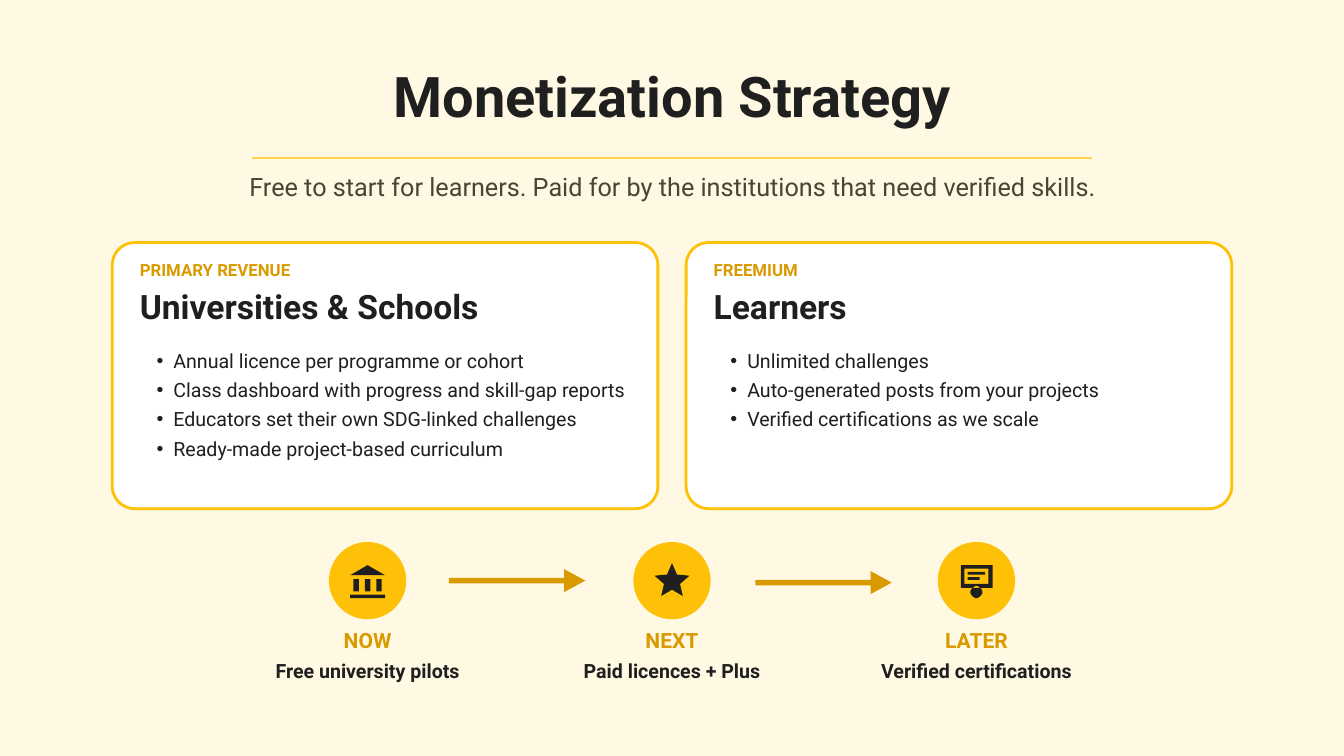
from math import cos, pi, sin

from lxml import etree
from pptx import Presentation
from pptx.dml.color import RGBColor
from pptx.enum.shapes import MSO_SHAPE
from pptx.enum.text import MSO_ANCHOR, MSO_AUTO_SIZE, PP_ALIGN
from pptx.oxml.ns import qn
from pptx.util import Inches, Pt

LEFT, CENTER = PP_ALIGN.LEFT, PP_ALIGN.CENTER
TOP, NO_FIT = MSO_ANCHOR.TOP, MSO_AUTO_SIZE.NONE
RECTANGLE, ROUNDED = MSO_SHAPE.RECTANGLE, MSO_SHAPE.ROUNDED_RECTANGLE
OVAL, STAR, ARROW = MSO_SHAPE.OVAL, MSO_SHAPE.STAR_5_POINT, MSO_SHAPE.RIGHT_ARROW

CREAM = RGBColor(0xFF, 0xF8, 0xE2)
WHITE = RGBColor(0xFF, 0xFF, 0xFF)
YELLOW = RGBColor(0xFF, 0xC1, 0x07)
AMBER = RGBColor(0xD9, 0x9A, 0x00)
INK = RGBColor(0x1F, 0x1F, 0x1F)
BROWN = RGBColor(0x4A, 0x43, 0x37)

# Content
TITLE = "Monetization Strategy"
SUBTITLE = "Free to start for learners. Paid for by the institutions that need verified skills."
CARDS = [
    ("PRIMARY REVENUE", "Universities & Schools", [
        "Annual licence per programme or cohort",
        "Class dashboard with progress and skill-gap reports",
        "Educators set their own SDG-linked challenges",
        "Ready-made project-based curriculum",
    ]),
    ("FREEMIUM", "Learners", [
        "Unlimited challenges",
        "Auto-generated posts from your projects",
        "Verified certifications as we scale",
    ]),
]
STAGES = [
    ("NOW", "Free university pilots", "bank"),
    ("NEXT", "Paid licences + Plus", "star"),
    ("LATER", "Verified certifications", "certificate"),
]

# Text formats: font values, then line spacing in points and alignment
FORMATS = {
    "title": ({"size": Pt(60), "bold": True, "color": INK}, 72, CENTER),
    "subtitle": ({"size": Pt(27), "bold": False, "color": BROWN}, 37.8, CENTER),
    "tag": ({"size": Pt(18), "bold": True, "color": AMBER}, 25.2, LEFT),
    "heading": ({"size": Pt(36), "bold": True, "color": INK}, 50.4, LEFT),
    "bullets": ({"size": Pt(21), "bold": False, "color": INK}, 31.5, LEFT),
    "stage": ({"size": Pt(22.5), "bold": True, "color": AMBER}, 31.5, CENTER),
    "step": ({"size": Pt(21), "bold": True, "color": INK}, 29.4, CENTER),
}

# Geometry in inches
MARGIN, CONTENT_W = 1.67, 16.67
CARD_Y, CARD_W, CARD_H, CARD_STEP = 3.61, 8.12, 3.96, 8.54
PADDING, INNER_W = 0.41, 7.29
STAGE_MID, STAGE_STEP, STAGE_Y, STAGE_W = 10, 4.53, 8.64, 4.79
CIRCLE = 1.15
ARROWS = [(6.68, 8.47), (11.24, 8.5)]


def block(x, y, width, height):
    return [(x, y), (x + width, y), (x + width, y + height), (x, y + height)]


def ring(x, y, radius, count=32):
    angles = [2 * pi * step / count for step in range(count)]
    return [(x + radius * cos(a), y + radius * sin(a)) for a in angles]


# Icon outlines in hundredths of an inch from the circle centre
ICONS = {
    "bank": [[(0, -23), (-26, -8), (26, -8)],
             *[block(x, -2, 8, 18) for x in (-21, -4, 13)],
             block(-26, 21, 52, 5)],
    "certificate": [block(-23, -23, 47, 34), block(-18, -18, 36, 23),
                    block(-13, -13, 26, 4), block(-13, -5, 18, 4),
                    ring(0, 17, 9)],
}


def place(box, x, y, width, height):
    box.left, box.top = Inches(x), Inches(y)
    box.width, box.height = Inches(width), Inches(height)


def write(box, lines, style):
    values, spacing, align = FORMATS[style]
    frame = box.text_frame
    frame.word_wrap, frame.auto_size, frame.vertical_anchor = True, NO_FIT, TOP
    for side in ("left", "right", "top", "bottom"):
        setattr(frame, f"margin_{side}", 0)
    for number, line in enumerate(lines):
        para = frame.add_paragraph() if number else frame.paragraphs[0]
        if style == "bullets":
            para.level = 1
            props = para._p.get_or_add_pPr()
            props.set("marL", str(Inches(0.5)))
            props.set("indent", str(-Inches(0.25)))
            etree.SubElement(props, qn("a:buChar")).set("char", "•")
        para.alignment, para.line_spacing = align, Pt(spacing)
        para.space_before = para.space_after = Pt(0)
        span = para.add_run()
        span.text, span.font.name = line, "Roboto"
        for name, value in values.items():
            if name == "color":
                span.font.color.rgb = value
            else:
                setattr(span.font, name, value)


def add_text(page, area, line, style):
    box = page.shapes.add_textbox(*[Inches(value) for value in area])
    write(box, [line], style)


def paint(shape, fill, line=None):
    shape.shadow.inherit = False
    shape.fill.solid()
    shape.fill.fore_color.rgb = fill
    if line is None:
        shape.line.fill.background()
    else:
        shape.line.color.rgb, shape.line.width = line, Pt(3)


def add_preset(page, kind, area, fill, line=None, adjust=()):
    shape = page.shapes.add_shape(kind, *[Inches(value) for value in area])
    for number, value in enumerate(adjust):
        shape.adjustments[number] = value
    paint(shape, fill, line)


def add_icon(page, name, x, y):
    if name == "star":
        add_preset(page, STAR, (x - 0.26, y - 0.26, 0.52, 0.49), INK, adjust=[0.23])
        return
    first, *others = ICONS[name]
    builder = page.shapes.build_freeform(*first[0], scale=Inches(0.01))
    builder.add_line_segments(first[1:], close=True)
    for outline in others:
        builder.move_to(*outline[0])
        builder.add_line_segments(outline[1:], close=True)
    paint(builder.convert_to_shape(Inches(x), Inches(y)), INK)


def main():
    deck = Presentation()
    deck.slide_width, deck.slide_height = Inches(20), Inches(11.25)
    page = deck.slides.add_slide(deck.slide_layouts[3])
    page.background.fill.solid()
    page.background.fill.fore_color.rgb = CREAM
    title, *bodies = page.placeholders

    # Header
    place(title, MARGIN, 0.91, CONTENT_W, 1.03)
    write(title, [TITLE], "title")
    add_preset(page, RECTANGLE, (3.75, 2.34, 12.5, 0.02), YELLOW)
    add_text(page, (MARGIN, 2.48, CONTENT_W, 0.52), SUBTITLE, "subtitle")

    # Revenue cards, each list brought in front of its card
    for number, (tag, heading, items) in enumerate(CARDS):
        x = MARGIN + number * CARD_STEP
        add_preset(page, ROUNDED, (x, CARD_Y, CARD_W, CARD_H), WHITE, YELLOW, [0.085])
        add_text(page, (x + PADDING, 3.82, INNER_W, 0.36), tag, "tag")
        add_text(page, (x + PADDING, 4.15, INNER_W, 0.7), heading, "heading")
        body = bodies[number]
        place(body, x + PADDING, 5.1, INNER_W, 0.44 * len(items))
        write(body, items, "bullets")
        page.shapes.element.append(body.element)

    # Roadmap
    for number, (stage, step, icon) in enumerate(STAGES):
        x = STAGE_MID + (number - 1) * STAGE_STEP
        circle = (x - CIRCLE / 2, STAGE_Y - CIRCLE / 2, CIRCLE, CIRCLE)
        add_preset(page, OVAL, circle, YELLOW)
        add_icon(page, icon, x, STAGE_Y)
        add_text(page, (x - STAGE_W / 2, 9.27, STAGE_W, 0.42), stage, "stage")
        add_text(page, (x - STAGE_W / 2, 9.74, STAGE_W, 0.39), step, "step")
    for x, y in ARROWS:
        add_preset(page, ARROW, (x, y, 2.03, 0.34), AMBER, adjust=[0.24, 0.92])

    deck.save("out.pptx")


if __name__ == "__main__":
    main()
